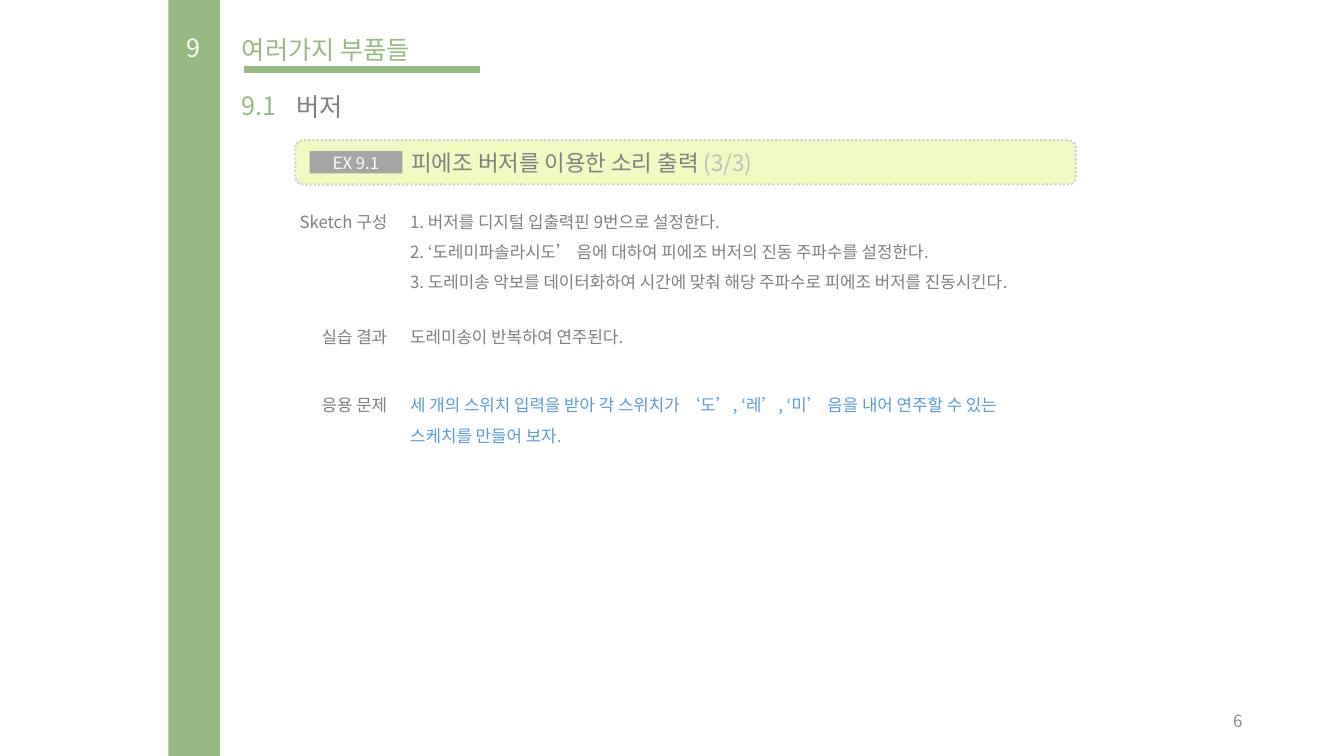
from lxml import etree
from pptx import Presentation
from pptx.enum import dml, shapes, text
from pptx.dml.color import RGBColor
from pptx.oxml.ns import qn
from pptx.util import Inches, Pt

FONT = "Noto Sans CJK KR"
HUES = {"green": "97BA80", "gray": "808080", "pale": "BFBFBF", "tag": "A6A6A6",
        "lime": "F2FAC2", "edge": "D0CECE", "blue": "5B9BD5", "white": "FFFFFF",
        "page": "8C8C8C"}
LEFT, MID, RIGHT = text.PP_ALIGN.LEFT, text.PP_ALIGN.CENTER, text.PP_ALIGN.RIGHT

# Content
TITLE = "여러가지 부품들"
HEADS = [  # words, box, colour, alignment
    ("9", (1.74, 0.12, 0.35, 0.56), "white", MID),
    ("9.1", (2.3, 0.7, 0.58, 0.56), "green", LEFT),
    ("버저", (2.84, 0.71, 0.71, 0.56), "gray", LEFT),
]
TAG = "EX 9.1"
TOPIC, PART = "피에조 버저를 이용한 소리 출력 ", "(3/3)"
ROWS = [  # label, label width, top, colour, lines
    ("Sketch 구성", 1.13, 1.95, "gray", [
        "1. 버저를 디지털 입출력핀 9번으로 설정한다.",
        "2. ‘도레미파솔라시도’ 음에 대하여 피에조 버저의 진동 주파수를 설정한다.",
        "3. 도레미송 악보를 데이터화하여 시간에 맞춰 해당 주파수로 피에조 버저를 진동시킨다."]),
    ("실습 결과", 0.93, 3.09, "gray", ["도레미송이 반복하여 연주된다."]),
    ("응용 문제", 0.93, 3.77, "blue", [
        "세 개의 스위치 입력을 받아 각 스위치가 ‘도’, ‘레’, ‘미’ 음을 내어 연주할 수 있는\n"
        "스케치를 만들어 보자."]),
]
EDGE, BODY, WIDE = 3.94, 3.97, 7.01
FIRST, STEP = 0.4, 0.305

deck = Presentation()
deck.slide_width, deck.slide_height = Inches(13.33), Inches(7.5)
slide = deck.slides.add_slide(deck.slide_layouts[5])


def rgb(hue):
    return RGBColor.from_string(HUES[hue])


def style(para, size, hue, align=LEFT, gap=None):
    para.alignment = align
    if gap:
        para.line_spacing = gap
    font = para.font
    font.size, font.name = Pt(size), FONT
    font.color.rgb = rgb(hue)
    props = para._p.pPr.find(qn("a:defRPr"))
    etree.SubElement(props, qn("a:ea"), typeface=FONT)


def write(frame, lines, size, hue, align=LEFT, gap=1.5, wrap=False):
    frame.word_wrap = wrap
    for i, line in enumerate(lines):
        para = frame.add_paragraph() if i else frame.paragraphs[0]
        para.text = line
        style(para, size, hue, align, gap)


def label(box, lines, size, hue, align=LEFT, wrap=False):
    frame = slide.shapes.add_textbox(*map(Inches, box)).text_frame
    write(frame, lines, size, hue, align, wrap=wrap)
    frame.auto_size = text.MSO_AUTO_SIZE.SHAPE_TO_FIT_TEXT


def block(kind, box, hue):
    shape = slide.shapes.add_shape(kind, *map(Inches, box))
    shape.shadow.inherit = False
    shape.fill.solid()
    shape.fill.fore_color.rgb = rgb(hue)
    shape.line.fill.background()
    shape.text_frame.vertical_anchor = text.MSO_ANCHOR.MIDDLE
    return shape


# Side bar
RECT = shapes.MSO_SHAPE.RECTANGLE
block(RECT, (1.67, 0, 0.51, 7.5), "green")

# Title and its rule
title = slide.shapes.title
title.left, title.top, title.width, title.height = map(Inches, (2.3, 0.14, 2.05, 0.56))
write(title.text_frame, [TITLE], 18, "green")
title.text_frame.vertical_anchor = text.MSO_ANCHOR.TOP
title.text_frame.auto_size = text.MSO_AUTO_SIZE.SHAPE_TO_FIT_TEXT
rule = slide.shapes.add_connector(shapes.MSO_CONNECTOR.STRAIGHT,
                                  *map(Inches, (2.42, 0.69, 4.76, 0.69)))
rule.line.color.rgb, rule.line.width = rgb("green"), Pt(4.5)
etree.SubElement(rule._element.spPr, qn("a:effectLst"))

# Chapter and section heads
for words, box, hue, align in HEADS:
    label(box, [words], 18, hue, align)

# Example panel
panel = block(shapes.MSO_SHAPE.ROUNDED_RECTANGLE, (2.93, 1.39, 7.74, 0.44), "lime")
panel.line.color.rgb, panel.line.width = rgb("edge"), Pt(1.5)
panel.line.dash_style = dml.MSO_LINE.ROUND_DOT
panel.text_frame.margin_left = Inches(1.13)
write(panel.text_frame, [TOPIC], 16, "gray", gap=None, wrap=True)
part = panel.text_frame.paragraphs[0].add_run()
part.text = PART
part.font.color.rgb = rgb("pale")
tag = block(RECT, (3.07, 1.5, 0.92, 0.22), "tag")
write(tag.text_frame, [TAG], 12, "white", MID, gap=None, wrap=True)

# Labelled rows
for name, width, top, hue, lines in ROWS:
    label((EDGE - width, top, width, FIRST), [name], 12, "gray", RIGHT)
    count = sum(line.count("\n") + 1 for line in lines)
    label((BODY, top, WIDE, FIRST + STEP * (count - 1)), lines, 12, hue, wrap=True)

# Page number
page = slide.shapes.add_textbox(*map(Inches, (9.42, 6.95, 3, 0.4))).text_frame
page.vertical_anchor = text.MSO_ANCHOR.MIDDLE
write(page, ["6"], 12, "page", RIGHT, gap=None, wrap=True)

deck.save("out.pptx")
